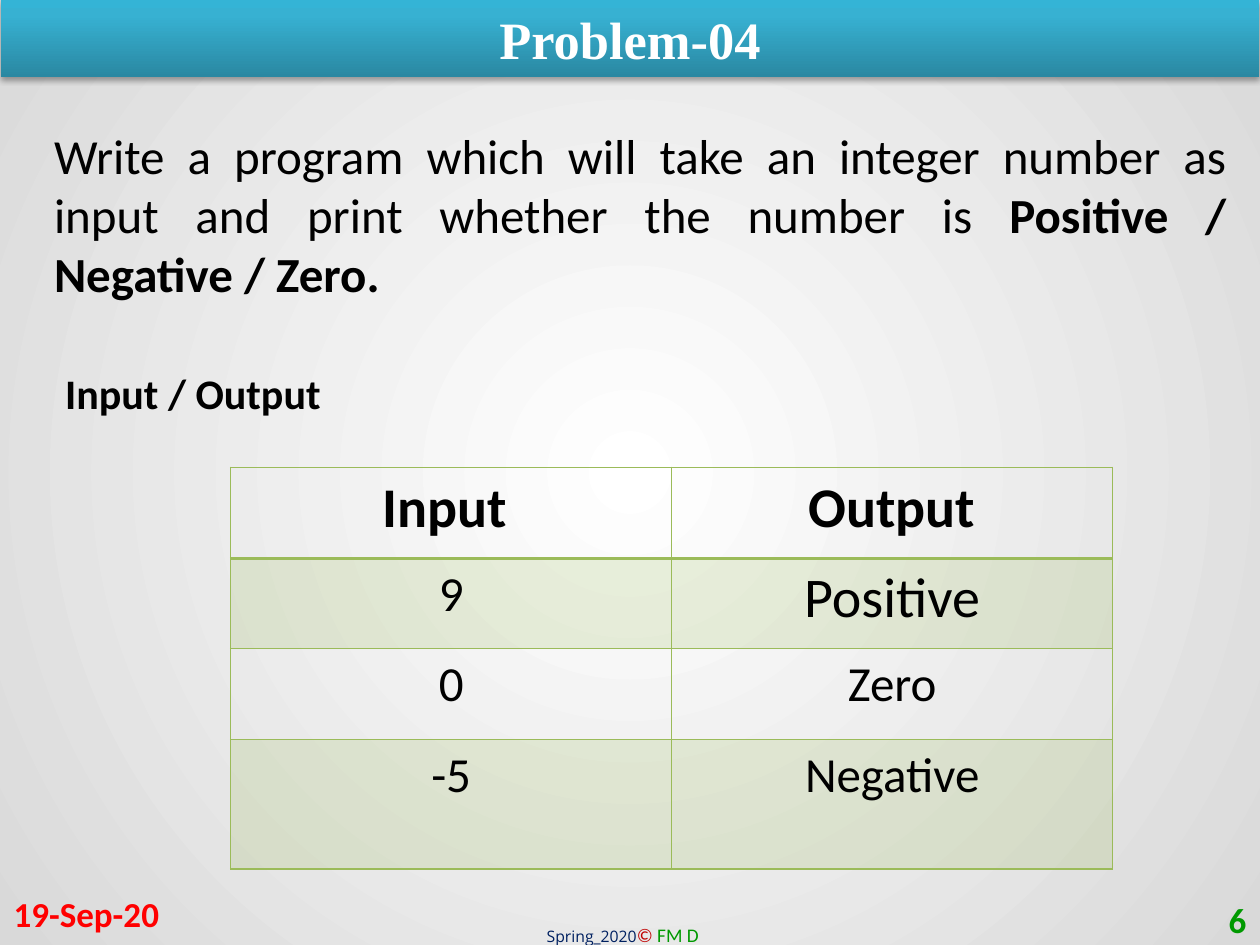
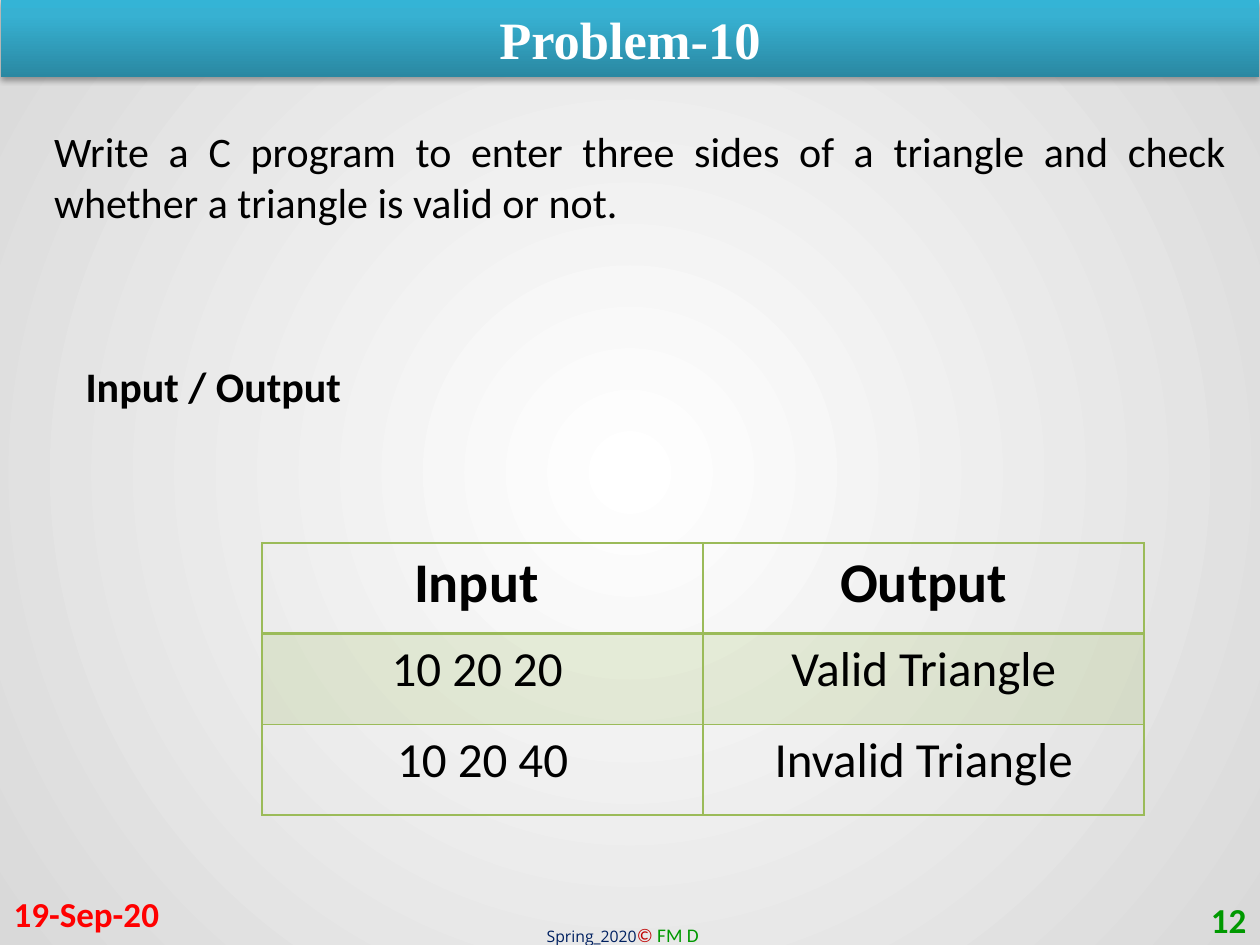
from dataclasses import dataclass
from typing import Optional

from pptx import Presentation, dml, oxml
from pptx.dml import color
from pptx.enum import shapes, text
from pptx.oxml import ns
from pptx.util import Pt

BLACK, WHITE, RED, GREEN = "000000", "FFFFFF", "FF0000", "009900"
TABLE_GREEN = "9BBB59"
SLIDE_W, SLIDE_H = 720, 540
COLUMN_W, ROW_H = 252, 51.8
BAND_STOPS = [(0, "2A88A2"), (80, "37B1D2"), (100, "34B4D6")]
BACKGROUND_STOPS = [(0, "FFFFFF"), (100, "D9D9D9")]
RADIAL = ('<a:path path="circle"><a:fillToRect l="50000" t="50000" '
          'r="50000" b="50000"/></a:path>')
UPWARD = '<a:lin ang="16200000" scaled="0"/>'
LEFT, CENTER = text.PP_ALIGN.LEFT, text.PP_ALIGN.CENTER
RIGHT, JUSTIFY = text.PP_ALIGN.RIGHT, text.PP_ALIGN.JUSTIFY


@dataclass
class Style:
    size: float
    color: str = BLACK
    bold: Optional[bool] = None
    italic: Optional[bool] = None
    name: str = "Calibri"


@dataclass
class Box:
    x: float
    y: float
    w: float
    h: float


@dataclass
class Cell:
    text: str
    size: float = 28


@dataclass
class Problem:
    number: str
    page: str
    task: str
    task_bold: str
    task_size: float
    task_h: float
    label_at: tuple
    table_at: tuple
    rows: list
    last_row_h: float = ROW_H


TITLE = Style(30, WHITE, True, name="Times New Roman")
DATE = Style(20, RED, True)
PAGE = Style(20, GREEN, True)
LABEL = Style(24, bold=True)
FOOTER = [
    ("Spring_2020", Style(9, "002060", name="Open Sans")),
    ("© ", Style(11, "C00000", italic=True)),
    ("FM D", Style(11, GREEN)),
]

PROBLEMS = [
    Problem("04", "6",
            "Write a program which will take an integer number as input "
            "and print whether the number is ",
            "Positive / Negative / Zero.", 28, 108.7, (30.2, 206.6), (131.8, 267.1),
            [(Cell("9"), Cell("Positive", 32)),
             (Cell("0"), Cell("Zero")),
             (Cell("-5"), Cell("Negative"))], 74.2),
    Problem("10", "12",
            "Write a C program to enter three sides of a triangle and check "
            "whether a triangle is valid or not.",
            "", 24, 65.5, (41.8, 202.3), (149.8, 310.3),
            [(Cell("10 20 20 "), Cell("Valid Triangle")),
             (Cell("10 20 40"), Cell("Invalid Triangle"))]),
]


def rgb(value: str) -> color.RGBColor:
    return color.RGBColor.from_string(value)


def xml(source: str):
    """Parse a DrawingML fragment whose root lacks a namespace declaration."""
    head, mark, rest = source.partition(">")
    slash = "/" if head.endswith("/") else ""
    return oxml.parse_xml(f"{head.removesuffix('/')} {ns.nsdecls('a')}{slash}{mark}{rest}")


def set_font(font, style: Style) -> None:
    font.name, font.size = style.name, Pt(style.size)
    font.bold, font.italic = style.bold, style.italic
    font.color.rgb = rgb(style.color)


def write(tf, content: str, style: Style, align=LEFT):
    p = tf.paragraphs[0]
    p.alignment = align
    set_font(p.font, style)
    p.add_run().text = content
    return p


def add_text_box(s, box: Box, wrap: bool = True, anchor=text.MSO_ANCHOR.TOP):
    tf = s.shapes.add_textbox(Pt(box.x), Pt(box.y), Pt(box.w), Pt(box.h)).text_frame
    tf.word_wrap = wrap
    tf.vertical_anchor = anchor
    return tf


def set_gradient(props, stops: list, direction: str) -> None:
    """Replace the solid fill inside props by a gradient."""
    marks = "".join(f'<a:gs pos="{at * 1000}"><a:srgbClr val="{c}"/></a:gs>'
                    for at, c in stops)
    solid = props.find(ns.qn("a:solidFill"))
    props.replace(solid, xml(f'<a:gradFill rotWithShape="1"><a:gsLst>{marks}</a:gsLst>'
                             f'{direction}</a:gradFill>'))


def add_background(s) -> None:
    s.background.fill.solid()
    s.background.fill.fore_color.rgb = rgb(WHITE)
    props = s.element.find(".//" + ns.qn("p:bgPr"))
    set_gradient(props, BACKGROUND_STOPS, RADIAL)


def add_footer(s) -> None:
    p = add_text_box(s, Box(305.3, 524.2, 108.7, 20.9), wrap=False).paragraphs[0]
    for content, style in FOOTER:
        r = p.add_run()
        r.text = content
        set_font(r.font, style)


def add_title_band(s, title: str) -> None:
    sp = s.shapes.add_shape(shapes.MSO_SHAPE.RECTANGLE, Pt(0.7), Pt(0), Pt(718.6), Pt(43.9))
    sp.line.fill.background()
    sp.fill.solid()
    sp.fill.fore_color.rgb = rgb(BAND_STOPS[0][1])
    props = sp.element.spPr
    set_gradient(props, BAND_STOPS, UPWARD)
    props.append(xml('<a:effectLst><a:outerShdw blurRad="40000" dist="23000" dir="5400000" '
                     'rotWithShape="0"><a:srgbClr val="000000"><a:alpha val="35000"/>'
                     '</a:srgbClr></a:outerShdw></a:effectLst>'))
    write(sp.text_frame, title, TITLE, CENTER)


def set_borders(cell, top: float, bottom: float) -> None:
    props = cell._tc.get_or_add_tcPr()
    for side, width in (("L", 1), ("R", 1), ("T", top), ("B", bottom)):
        props.append(xml(f'<a:ln{side} w="{Pt(width)}"><a:solidFill>'
                         f'<a:srgbClr val="{TABLE_GREEN}"/></a:solidFill></a:ln{side}>'))


def fill_cell(cell, shaded: bool) -> None:
    if not shaded:
        cell.fill.background()
        return
    cell.fill.solid()
    cell.fill.fore_color.rgb = rgb(TABLE_GREEN)
    tint = cell._tc.tcPr.find(f"{ns.qn('a:solidFill')}/{ns.qn('a:srgbClr')}")
    tint.append(xml('<a:alpha val="20000"/>'))


def add_io_table(s, problem: Problem) -> None:
    rows = [(Cell("Input ", 32), Cell("Output", 32)), *problem.rows]
    heights = [ROW_H] * (len(rows) - 1) + [problem.last_row_h]
    x, y = problem.table_at
    table = s.shapes.add_table(len(rows), 2, Pt(x), Pt(y),
                               Pt(2 * COLUMN_W), Pt(sum(heights))).table
    table.first_row = table.horz_banding = False
    for column in table.columns:
        column.width = Pt(COLUMN_W)
    for i, (row, height) in enumerate(zip(rows, heights)):
        table.rows[i].height = Pt(height)
        for j, item in enumerate(row):
            cell = table.cell(i, j)
            set_borders(cell, top=2 if i == 1 else 1, bottom=2 if i == 0 else 1)
            fill_cell(cell, shaded=i % 2 == 1)
            write(cell.text_frame, item.text, Style(item.size, bold=i == 0), CENTER)


def add_problem_slide(prs, problem: Problem) -> None:
    s = prs.slides.add_slide(prs.slide_layouts[6])
    add_background(s)
    add_footer(s)
    add_title_band(s, f"Problem-{problem.number}")
    middle = text.MSO_ANCHOR.MIDDLE
    write(add_text_box(s, Box(0.7, 507.6, 167.8, 28.8), anchor=middle), "19-Sep-20", DATE)
    write(add_text_box(s, Box(551.5, 511.2, 167.8, 28.8), anchor=middle),
          problem.page, PAGE, RIGHT)
    p = write(add_text_box(s, Box(23.8, 68.4, 684, problem.task_h)),
              problem.task, Style(problem.task_size), JUSTIFY)
    if problem.task_bold:
        r = p.add_run()
        r.text = problem.task_bold
        r.font.bold = True
    write(add_text_box(s, Box(*problem.label_at, 162, 36), wrap=False),
          "Input / Output", LABEL)
    add_io_table(s, problem)


def main() -> None:
    prs = Presentation()
    prs.slide_width, prs.slide_height = Pt(SLIDE_W), Pt(SLIDE_H)
    for problem in PROBLEMS:
        add_problem_slide(prs, problem)
    prs.save("out.pptx")


if __name__ == "__main__":
    main()
